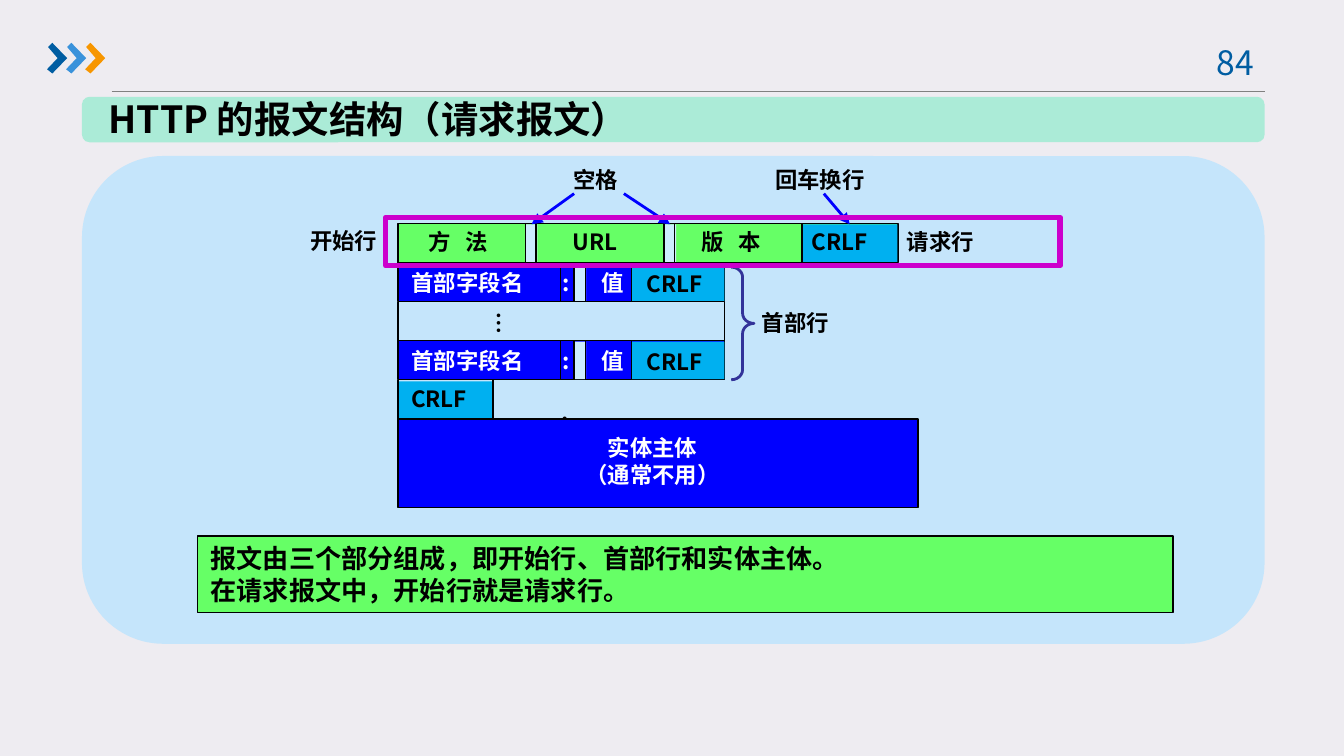
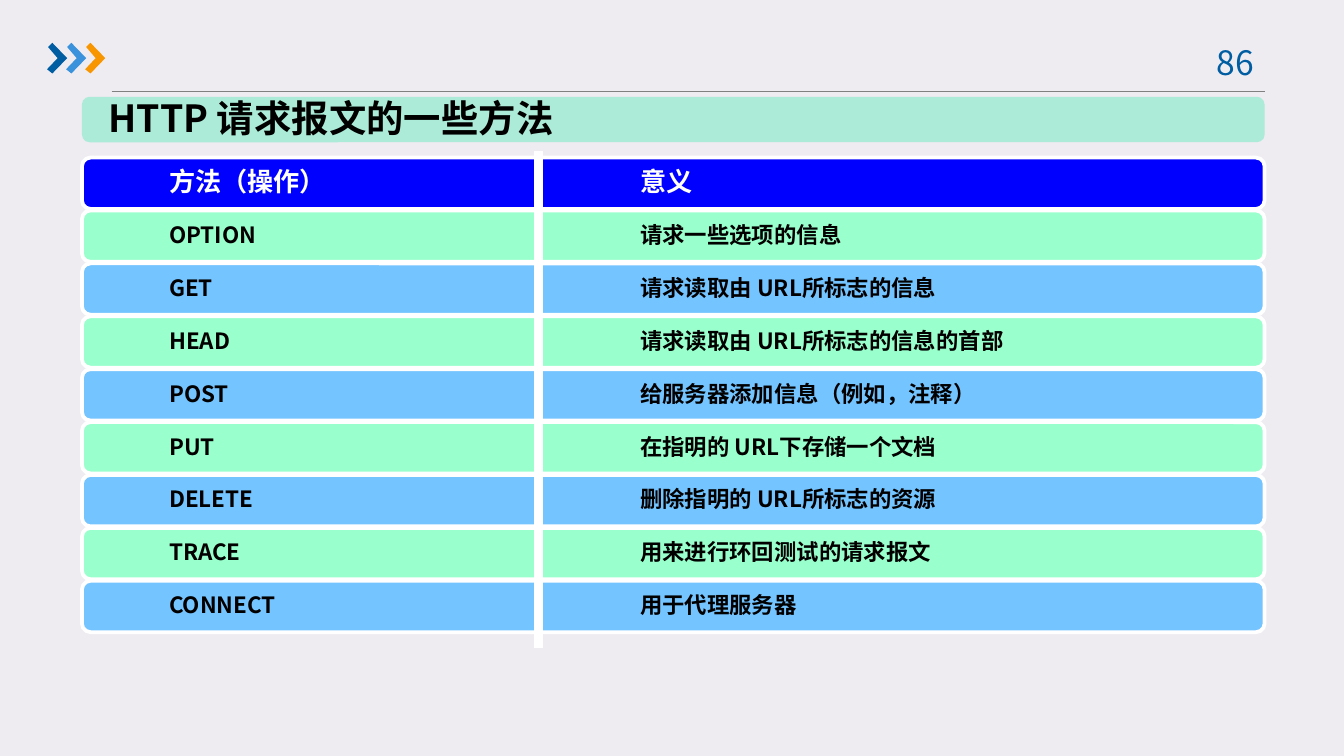
import dataclasses

import pptx
import pptx.dml.color
import pptx.enum.shapes
import pptx.enum.text
import pptx.oxml.ns
import pptx.util
from lxml import etree

Cm = pptx.util.Cm
Shape = pptx.enum.shapes.MSO_SHAPE
Align = pptx.enum.text.PP_ALIGN
qn = pptx.oxml.ns.qn


@dataclasses.dataclass(frozen=True)
class Theme:
    font: str = "Noto Sans CJK SC"
    background: str = "EEECF1"
    rule: str = "808080"
    title_band: str = "ABEBD7"
    panel: str = "C5E5FB"
    black: str = "000000"
    white: str = "FFFFFF"
    blue: str = "0000FF"
    cyan: str = "00B0F0"
    green: str = "66FF66"
    space: str = "CCECFF"
    brace: str = "333399"
    frame: str = "CC00CC"
    mint: str = "99FFCC"
    sky: str = "74C4FF"
    number: str = "005DA2"
    chevrons: tuple = ("005DA2", "3992DB", "F79600")
    title_size: float = 20
    number_size: float = 18
    lead_size: float = 14
    body_size: float = 12


class SlideBuilder:
    def __init__(self, deck, theme):
        self.deck = deck
        self.theme = theme
        self.page = None

    def color(self, value):
        return pptx.dml.color.RGBColor.from_string(value)

    def start(self, title, number, title_top):
        theme = self.theme
        self.page = self.deck.slides.add_slide(self.deck.slide_layouts[6])
        fill = self.page.background.fill
        fill.solid()
        fill.fore_color.rgb = self.color(theme.background)
        self.line((2.11, 1.73), (23.9, 1.73), theme.rule)
        for index, color in enumerate(theme.chevrons):
            self.chevron(0.89 + 0.36 * index, 0.81, color)
        self.label(number, 22.42, 0.66, 1.85, 1.02, theme.number,
                   theme.number_size, bold=False, align=Align.CENTER)
        self.shape(Shape.ROUNDED_RECTANGLE, 1.55, 1.83, 22.35, 0.86, theme.title_band)
        self.label(title, 1.8, title_top, 10.5, 1.12, size=theme.title_size, wrap=True)

    def finish(self, shape, fill, line, width):
        shape.shadow.inherit = False
        if fill:
            shape.fill.solid()
            shape.fill.fore_color.rgb = self.color(fill)
        else:
            shape.fill.background()
        if line:
            shape.line.color.rgb = self.color(line)
            shape.line.width = pptx.util.Pt(width)
        else:
            shape.line.fill.background()
        return shape

    def shape(self, kind, left, top, width, height, fill=None, line=None, weight=0.75):
        shape = self.page.shapes.add_shape(kind, Cm(left), Cm(top), Cm(width), Cm(height))
        return self.finish(shape, fill, line, weight)

    def chevron(self, left, top, color):
        outline = [(0.02, 0.08), (0.1, 0), (0.38, 0.29), (0.1, 0.58), (0, 0.5), (0.2, 0.29)]
        points = [(Cm(left + x), Cm(top + y)) for x, y in outline]
        builder = self.page.shapes.build_freeform(*points[0])
        builder.add_line_segments(points[1:], close=True)
        self.finish(builder.convert_to_shape(), color, None, 0)

    def line(self, start, end, color, weight=0.75, target=None):
        line = self.page.shapes.add_connector(
            pptx.enum.shapes.MSO_CONNECTOR.STRAIGHT, *map(Cm, start + end))
        line.line.color.rgb = self.color(color)
        line.line.width = pptx.util.Pt(weight)
        if target is not None:
            line.end_connect(target, 0)
            etree.SubElement(line.line._get_or_add_ln(), qn("a:tailEnd"), type="triangle")
        etree.SubElement(line._element.spPr, qn("a:effectLst"))

    def set_text(self, frame, text, color, size, bold=True, align=Align.LEFT,
                 tracking=None, tabs=()):
        frame.text = text
        for para in frame.paragraphs:
            if tabs:
                stops = etree.SubElement(para._p.get_or_add_pPr(), qn("a:tabLst"))
                for stop in tabs:
                    etree.SubElement(stops, qn("a:tab"), pos=str(int(Cm(stop))), algn="l")
            para.alignment = align
            font = para.font
            font.name = self.theme.font
            font.size = pptx.util.Pt(size)
            font.bold = bold
            font.color.rgb = self.color(color)
            defaults = para._p.pPr.find(qn("a:defRPr"))
            etree.SubElement(defaults, qn("a:ea"), typeface=self.theme.font)
            if tracking:
                defaults.set("spc", str(tracking))

    def label(self, text, left, top, width, height=0.76, color=None, size=None,
              wrap=False, rotation=0, **style):
        box = self.page.shapes.add_textbox(Cm(left), Cm(top), Cm(width), Cm(height))
        box.rotation = rotation
        box.text_frame.word_wrap = wrap
        box.text_frame.auto_size = pptx.enum.text.MSO_AUTO_SIZE.SHAPE_TO_FIT_TEXT
        self.set_text(box.text_frame, text, color or self.theme.black,
                      size or self.theme.body_size, **style)

    def note(self, text, left, top, width, height):
        theme = self.theme
        box = self.shape(Shape.RECTANGLE, left, top, width, height, theme.green, theme.black)
        box.text_frame.word_wrap = True
        self.set_text(box.text_frame, text, theme.black, theme.lead_size)

    def method_row(self, cells, top, fill, color, size):
        bar = self.shape(Shape.ROUNDED_RECTANGLE, 1.55, top, 22.35, 0.97,
                         fill, self.theme.white, 2)
        frame = bar.text_frame
        frame.word_wrap = True
        frame.vertical_anchor = pptx.enum.text.MSO_ANCHOR.MIDDLE
        frame.margin_left = frame.margin_right = Cm(0.13)
        frame.margin_top = frame.margin_bottom = Cm(0.13)
        self.set_text(frame, "\t" + "\t".join(cells), color, size, tabs=(1.47, 10.37))
        para = frame.paragraphs[0]
        para.line_spacing = 0.9
        para.space_after = pptx.util.Pt(0.35 * size)


def build_request_message(builder):
    theme = builder.theme
    rect = Shape.RECTANGLE
    left, row_height = 7.52, 0.74
    row_tops = [4.22 + row_height * index for index in range(6)]
    request_top, field_tops, crlf_top = row_tops[0], (row_tops[1], row_tops[3]), row_tops[4]

    builder.start("HTTP 的报文结构（请求报文）", "84", 1.7)
    builder.shape(Shape.ROUNDED_RECTANGLE, 1.55, 2.95, 22.35, 9.22, theme.panel)

    for top in field_tops:
        builder.shape(rect, left, top, 6.17, row_height, theme.blue, theme.black)
        builder.shape(rect, 11.94, top + 0.02, 1.75, 0.71, theme.cyan)
        builder.shape(rect, 10.85, top + 0.02, 0.23, 0.71, theme.space)
    builder.shape(rect, left, request_top, 9.45, row_height, theme.green, theme.black)
    request_crlf = builder.shape(rect, 15.16, request_top + 0.02, 1.8, 0.71, theme.cyan)
    spaces = [builder.shape(rect, x, request_top + 0.02, 0.23, 0.71, theme.space)
              for x in (9.93, 12.55)]
    builder.shape(rect, left + 0.02, crlf_top + 0.03, 1.78, 0.71, theme.cyan)

    field_edges = (10.59, 10.85, 11.07, 11.94)
    edges = {
        request_top: (9.93, 10.13, 12.55, 12.75, 15.16),
        field_tops[0]: field_edges,
        row_tops[2]: (left, 13.69),
        field_tops[1]: field_edges,
        crlf_top: (left, 9.32),
    }
    for top, columns in edges.items():
        for x in columns:
            builder.line((x, top), (x, top + row_height), theme.black)

    for text, x, width, tracking in [("方 法", 7.85, 1.75, 270), ("URL", 10.57, 1.37, None),
                                     ("版 本", 13, 1.75, 270), ("CRLF", 15.09, 1.57, None),
                                     ("请求行", 16.89, 1.8, None)]:
        builder.label(text, x, 4.19, width, tracking=tracking)
    for top in field_tops:
        for text, x, width in [("首部字段名", 7.53, 2.64), (":", 10.39, 0.64),
                               ("值", 11.12, 0.94)]:
            builder.label(text, x, top, width, color=theme.white)
        builder.label("CRLF", 11.97, top + 0.02, 1.57)
    builder.label("…", 8.97, 5.74, 0.91, rotation=270)
    builder.label("CRLF", left, 7.16, 1.57)
    builder.label(":", 10.36, 7.57, 0.64)
    builder.label("首部行", 14.15, 5.72, 1.8)
    builder.label("空格", 10.59, 3.02, 1.37)
    builder.label("回车换行", 14.4, 3.02, 2.24)

    brace = builder.shape(Shape.RIGHT_BRACE, 13.82, 5.05, 0.43, 2.13,
                          line=theme.brace, weight=1.5)
    brace.adjustments[0] = 0.44
    builder.shape(rect, left, row_tops[5], 9.83, 1.68, theme.blue, theme.black)
    builder.label("实体主体\n（通常不用）", 10.8, 8.08, 3.07, 1.27,
                  theme.white, align=Align.CENTER)

    for x, target in [(10.85, spaces[0]), (11.79, spaces[1]), (15.57, request_crlf)]:
        builder.line((x, 3.66), (x, 4.22), theme.blue, 1.5, target)
    builder.shape(rect, 7.29, 4.11, 12.75, 0.91, line=theme.frame, weight=3)
    builder.label("开始行", 5.61, 4.17, 1.8)
    builder.note("报文由三个部分组成，即开始行、首部行和实体主体。\n在请求报文中，开始行就是请求行。",
                 3.73, 10.13, 18.44, 1.45)


def build_methods(builder):
    theme = builder.theme
    methods = [
        ("OPTION", "请求一些选项的信息"),
        ("GET", "请求读取由 URL所标志的信息"),
        ("HEAD", "请求读取由 URL所标志的信息的首部"),
        ("POST", "给服务器添加信息（例如，注释）"),
        ("PUT", "在指明的 URL下存储一个文档"),
        ("DELETE", "删除指明的 URL所标志的资源"),
        ("TRACE", "用来进行环回测试的请求报文"),
        ("CONNECT", "用于代理服务器"),
    ]
    first_top, pitch = 2.98, 1
    builder.start("HTTP 请求报文的一些方法", "86", 1.67)
    builder.method_row(("方法（操作）", "意义"), first_top, theme.blue,
                       theme.white, theme.lead_size)
    for index, cells in enumerate(methods):
        fill = theme.sky if index % 2 else theme.mint
        builder.method_row(cells, first_top + pitch * (index + 1), fill,
                           theme.black, theme.body_size)
    builder.line((10.18, 2.85), (10.18, 12.25), theme.white, 4.5)


def main():
    deck = pptx.Presentation()
    deck.slide_width, deck.slide_height = Cm(25.4), Cm(14.29)
    builder = SlideBuilder(deck, Theme())
    build_request_message(builder)
    build_methods(builder)
    deck.save("out.pptx")


if __name__ == "__main__":
    main()
